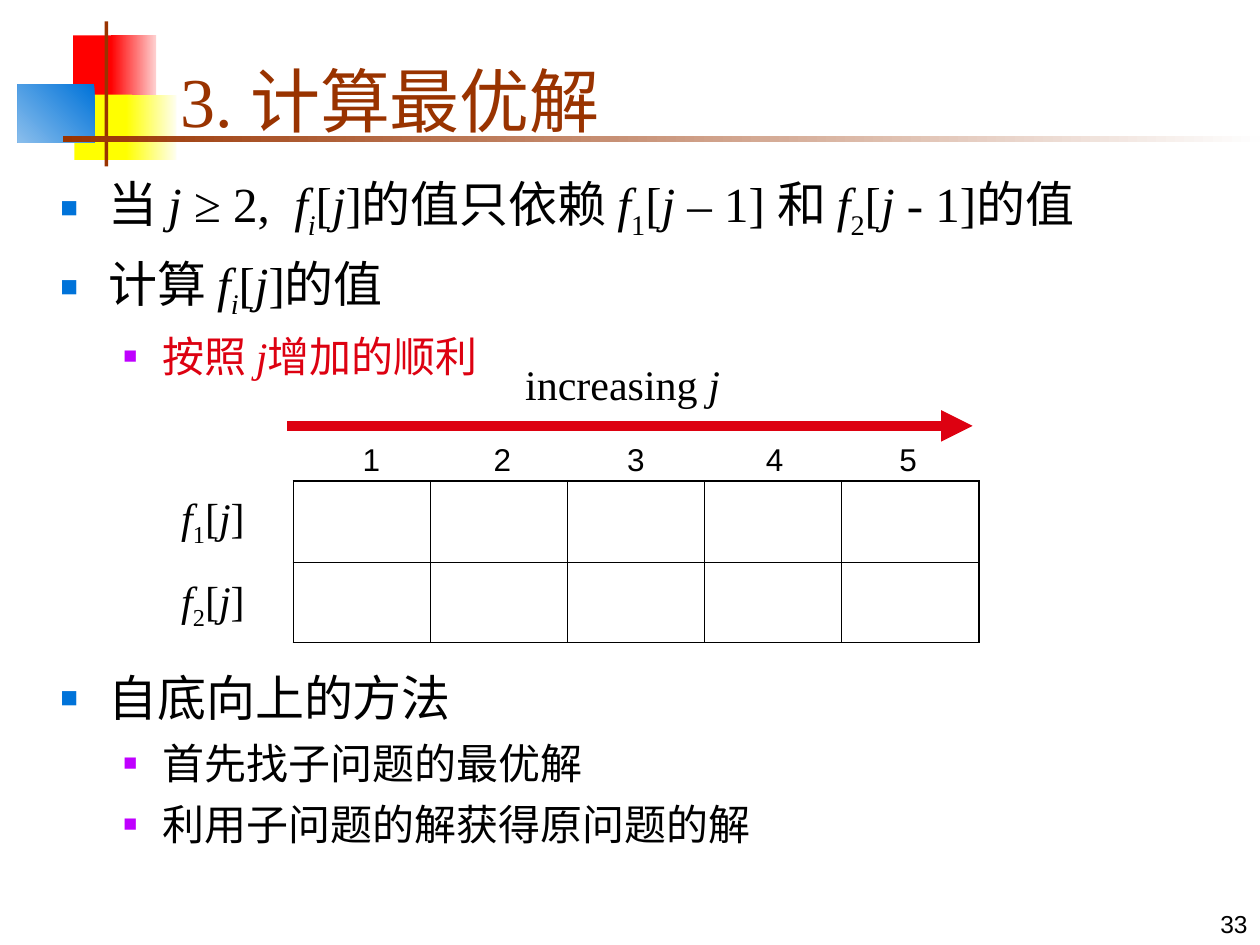
"""Build the slide on computing the optimal solution."""
import pptx
import pptx.util
import pptx.dml.color
import pptx.enum.shapes
import pptx.enum.text
import pptx.oxml
import pptx.oxml.ns
from lxml import etree

Inches = pptx.util.Inches
Pt = pptx.util.Pt
RGBColor = pptx.dml.color.RGBColor
Anchor = pptx.enum.text.MSO_ANCHOR
Align = pptx.enum.text.PP_ALIGN
Fit = pptx.enum.text.MSO_AUTO_SIZE
qn = pptx.oxml.ns.qn

BLACK = RGBColor(0x00, 0x00, 0x00)
WHITE = RGBColor(0xFE, 0xFE, 0xFE)
BROWN = RGBColor(0x99, 0x33, 0x00)
RED = RGBColor(0xFF, 0x00, 0x00)
PINK = RGBColor(0xFE, 0xD0, 0xD0)
YELLOW = RGBColor(0xFF, 0xFF, 0x00)
CREAM = RGBColor(0xFE, 0xFE, 0xEF)
BLUE = RGBColor(0x00, 0x73, 0xD9)
SKY = RGBColor(0x8A, 0xBE, 0xEC)
PURPLE = RGBColor(0xBF, 0x00, 0xFF)
CRIMSON = RGBColor(0xDD, 0x01, 0x11)

SERIF = "Times New Roman"
SANS = "Arial"


def write(para, text, size=24, font=SERIF, color=BLACK):
    """Add text to a paragraph; * toggles italics and _ toggles subscript."""
    for i, part in enumerate(text.split("*")):
        for k, piece in enumerate(part.split("_")):
            if not piece:
                continue
            run = para.add_run()
            run.text = piece
            run.font.size = Pt(size)
            run.font.name = font
            run.font.color.rgb = color
            run.font.italic = i % 2 == 1
            if k % 2:
                run.font._element.set("baseline", "-25000")


def node(parent, tag, **attrs):
    """Append an XML element with the given attributes."""
    item = etree.SubElement(parent, qn(tag))
    for key, value in attrs.items():
        item.set(key, str(value))
    return item


class Deck:
    """Hold the style and the current slide."""

    def __init__(self):
        self.prs = pptx.Presentation()
        self.prs.slide_width = Inches(10)
        self.prs.slide_height = Inches(7.5)
        self.slide = self.prs.slides.add_slide(self.prs.slide_layouts[1])
        self.shapes = self.slide.shapes

    def place(self, shape, box):
        """Move a placeholder and return its text frame."""
        shape.left, shape.top, shape.width, shape.height = map(Inches, box)
        frame = shape.text_frame
        frame.word_wrap = True
        frame.auto_size = Fit.NONE
        return frame

    def block(self, box, color, end=None, angle=0):
        """Draw a plain or gradient rectangle."""
        kind = pptx.enum.shapes.MSO_SHAPE.RECTANGLE
        shape = self.shapes.add_shape(kind, *map(Inches, box))
        shape.shadow.inherit = False
        shape.line.fill.background()
        if end is None:
            shape.fill.solid()
            shape.fill.fore_color.rgb = color
            return
        shape.fill.gradient()
        shape.fill.gradient_angle = angle
        for stop, tint in zip(shape.fill.gradient_stops, (color, end)):
            stop.color.rgb = tint

    def title(self, box, text):
        """Fill the title placeholder."""
        frame = self.place(self.shapes.title, box)
        frame.vertical_anchor = Anchor.BOTTOM
        para = frame.paragraphs[0]
        para.alignment = Align.LEFT
        write(para, text, size=40, color=BROWN)

    def body(self, box, items):
        """Fill the body placeholder with (level, space, color, text) items."""
        frame = self.place(self.slide.placeholders[1], box)
        frame.vertical_anchor = Anchor.TOP
        for i, (level, space, color, text) in enumerate(items):
            para = frame.add_paragraph() if i else frame.paragraphs[0]
            para.level = level
            self.bullet(para, level)
            para.space_before = Pt(space)
            write(para, text, size=24 if level else 28, color=color)

    def bullet(self, para, level):
        """Give a paragraph the square bullet of its level."""
        left, hang, color, size = ((0.38, 0.38, BLUE, 60),
                                   (0.81, 0.31, PURPLE, 55))[level]
        props = para._p.get_or_add_pPr()
        props.set("marL", str(Inches(left)))
        props.set("indent", str(-Inches(hang)))
        node(node(props, "a:buClr"), "a:srgbClr", val=color)
        node(props, "a:buSzPct", val=size * 1000)
        node(props, "a:buFont", typeface=SANS)
        node(props, "a:buChar", char="■")

    def label(self, box, text, align=Align.LEFT, anchor=Anchor.TOP, **style):
        """Add a text box."""
        frame = self.shapes.add_textbox(*map(Inches, box)).text_frame
        frame.word_wrap = True
        frame.vertical_anchor = anchor
        para = frame.paragraphs[0]
        para.alignment = align
        write(para, text, **style)

    def grid(self, box, rows, cols):
        """Add an empty table with a heavier outer border."""
        table = self.shapes.add_table(rows, cols, *map(Inches, box)).table
        table.first_row = table.horz_banding = False
        for r in range(rows):
            for c in range(cols):
                cell = table.cell(r, c)
                edges = {"L": c == 0, "R": c == cols - 1,
                         "T": r == 0, "B": r == rows - 1}
                for side, outer in edges.items():
                    self.edge(cell, side, 1.08 if outer else 0.45)
                cell.fill.background()

    def edge(self, cell, side, width):
        """Draw one border of a cell."""
        props = cell._tc.get_or_add_tcPr()
        line = node(props, "a:ln" + side, w=int(Pt(width)))
        node(node(line, "a:solidFill"), "a:srgbClr", val=BLACK)

    def arrow(self, start, end, color, width):
        """Draw a straight arrow."""
        kind = pptx.enum.shapes.MSO_CONNECTOR.STRAIGHT
        line = self.shapes.add_connector(kind, *map(Inches, start + end))
        line.line.color.rgb = color
        line.line.width = Pt(width)
        node(line.line._get_or_add_ln(), "a:tailEnd", type="triangle")
        node(line._element.spPr, "a:effectLst")


def main():
    """Lay out the slide and save it."""
    deck = Deck()
    deck.block((0.58, 0.28, 0.35, 0.52), RED)
    deck.block((0.88, 0.28, 0.36, 0.52), RED, PINK)
    deck.block((0.59, 0.75, 0.46, 0.52), YELLOW)
    deck.block((1, 0.75, 0.4, 0.52), YELLOW, CREAM)
    deck.block((0.14, 0.67, 0.61, 0.46), BLUE, SKY, angle=225)
    deck.block((0.83, 0.17, 0.03, 1.15), BROWN)
    deck.block((0.5, 1.08, 9.5, 0.05), BROWN, WHITE)

    deck.title((1.33, 0.25, 8.52, 0.92), "3. 计算最优解")
    deck.body((0.38, 1.33, 9.46, 5.81), [
        (0, 0, BLACK, "当 *j* ≥ 2,  *f_i_*[*j*]的值只依赖 "
                      "*f*_1_[*j* – 1] 和 *f*_2_[*j *- 1]的值"),
        (0, 7, BLACK, "计算 *f_i_*[*j*]的值"),
        (1, 6, CRIMSON, "按照 *j*增加的顺利"),
        (0, 164, BLACK, "自底向上的方法"),
        (1, 6, BLACK, "首先找子问题的最优解"),
        (1, 6, BLACK, "利用子问题的解获得原问题的解"),
    ])

    deck.grid((2.33, 3.82, 5.44, 1.28), 2, 5)
    for i, top in enumerate((3.85, 4.51), 1):
        deck.label((1.34, top, 0.8, 0.56), f"*f*_{i}_[*j*]")
    for i, left in enumerate((2.78, 3.82, 4.88, 5.98, 7.04), 1):
        deck.label((left, 3.44, 0.36, 0.4), str(i), size=18, font=SANS)
    deck.arrow((2.28, 3.38), (7.72, 3.38), CRIMSON, 6)
    deck.label((4.07, 2.8, 1.9, 0.5), "increasing *j*")
    deck.label((7.92, 7, 2.08, 0.5), "33", align=Align.RIGHT,
               anchor=Anchor.BOTTOM, size=14, font=SANS)
    deck.prs.save("out.pptx")


if __name__ == "__main__":
    main()
